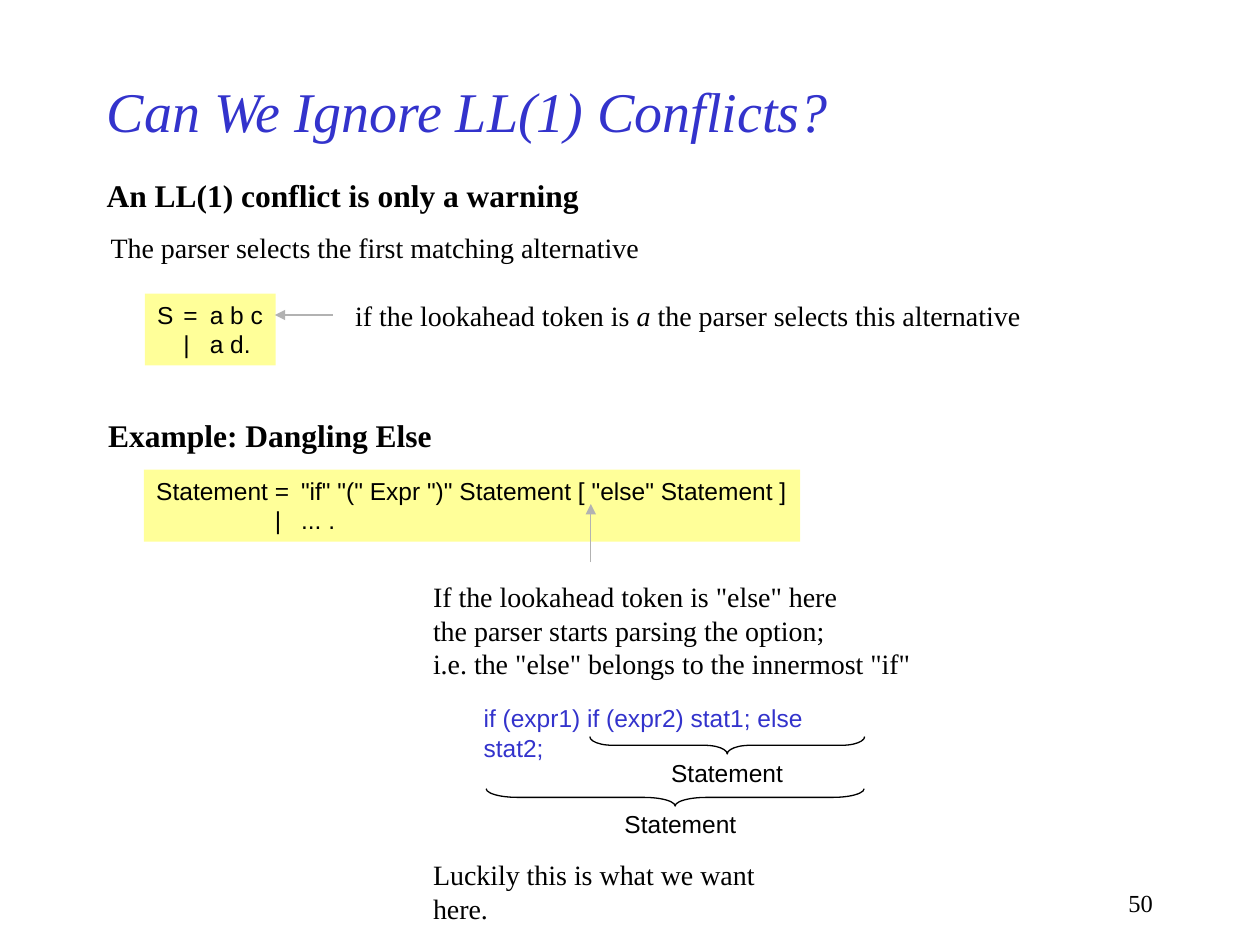
from dataclasses import dataclass

from lxml import etree
from pptx import Presentation
from pptx import util as u
from pptx.dml.color import RGBColor
from pptx.enum import shapes, text
from pptx.oxml import ns

COLORS = {"black": "000000", "blue": "3333CC", "yellow": "FFFF99", "gray": "B2B2B2"}
SERIF = "Times New Roman"
SANS = "Arial"


@dataclass
class Style:
    font: str
    size: int
    color: str = "black"
    bold: bool = False
    italic: bool = False


HEADING = Style(SERIF, 18, bold=True)
BODY = Style(SERIF, 16)
CODE = Style(SANS, 14)
BLUE_CODE = Style(SANS, 14, "blue")
TITLE = Style(SERIF, 32, "blue", italic=True)
NUMBER = Style(SERIF, 14)


@dataclass
class Label:
    left: float
    top: float
    width: float
    height: float
    lines: list[str]
    style: Style
    fill: str | None = None
    tabs: tuple[float, ...] = ()
    wrap: bool = False
    align: text.PP_ALIGN = text.PP_ALIGN.LEFT


@dataclass
class Arrow:
    start: tuple[float, float]
    end: tuple[float, float]


@dataclass
class Brace:
    left: float
    top: float
    length: float
    depth: float = 0.35


LABELS = [
    Label(1.9, 3.43, 10.03, 1.02, ["An LL(1) conflict is only a warning"], HEADING),
    Label(1.98, 4.52, 11.18, 0.94,
          ["The parser selects the first matching alternative"], BODY),
    Label(2.92, 5.92, 2.64, 1.45, ["S\t=\ta b c", "\t|\ta d."], CODE,
          fill="yellow", tabs=(0.53, 1.06)),
    Label(6.91, 5.89, 13.92, 0.94,
          ["if the lookahead token is *a* the parser selects this alternative"], BODY),
    Label(1.93, 8.26, 7.04, 1.02, ["Example: Dangling Else"], HEADING),
    Label(2.9, 9.47, 13.23, 1.45,
          ['Statement\t=\t"if" "(" Expr ")" Statement [ "else" Statement ]',
           "\t|\t... ."], CODE, fill="yellow", tabs=(2.39, 2.92)),
    Label(8.48, 11.56, 10.13, 2.29,
          ['If the lookahead token is "else" here',
           "the parser starts parsing the option;",
           'i.e. the "else" belongs to the innermost "if"'], BODY),
    Label(9.5, 14.05, 8.28, 0.86,
          ["if (expr1) if (expr2) stat1; else stat2;"], BLUE_CODE),
    Label(13.28, 15.16, 2.77, 0.86, ["Statement"], CODE),
    Label(12.34, 16.18, 2.77, 0.86, ["Statement"], CODE),
    Label(8.48, 17.17, 8.23, 0.94, ["Luckily this is what we want here."], BODY),
    Label(18.21, 17.78, 5.28, 0.84, ["50"], NUMBER, wrap=True,
          align=text.PP_ALIGN.RIGHT),
]
ARROWS = [Arrow((6.71, 6.35), (5.54, 6.35)), Arrow((11.91, 11.33), (11.91, 10.16))]
BRACES = [Brace(11.89, 14.85, 5.54), Brace(9.8, 15.9, 7.62)]


def rgb(name: str) -> RGBColor:
    return RGBColor.from_string(COLORS[name])


def write_line(paragraph, line: str, style: Style) -> None:
    for index, part in enumerate(line.split("*")):
        run = paragraph.add_run()
        run.text = part
        run.font.name = style.font
        run.font.size = u.Pt(style.size)
        run.font.bold = style.bold
        run.font.italic = style.italic or index % 2 == 1
        run.font.color.rgb = rgb(style.color)


def add_tabs(paragraph, positions: tuple[float, ...]) -> None:
    properties = paragraph._p.get_or_add_pPr()
    tab_list = etree.SubElement(properties, ns.qn("a:tabLst"))
    for position in positions:
        etree.SubElement(tab_list, ns.qn("a:tab"), pos=str(u.Cm(position)), algn="l")


def add_label(slide, label: Label) -> None:
    shape = slide.shapes.add_textbox(
        u.Cm(label.left), u.Cm(label.top), u.Cm(label.width), u.Cm(label.height))
    if label.fill:
        shape.fill.solid()
        shape.fill.fore_color.rgb = rgb(label.fill)
    frame = shape.text_frame
    frame.word_wrap = label.wrap
    if not label.wrap:
        frame.auto_size = text.MSO_AUTO_SIZE.SHAPE_TO_FIT_TEXT
    for index, line in enumerate(label.lines):
        paragraph = frame.add_paragraph() if index else frame.paragraphs[0]
        paragraph.alignment = label.align
        if label.tabs:
            add_tabs(paragraph, label.tabs)
        write_line(paragraph, line, label.style)


def add_arrow(slide, arrow: Arrow) -> None:
    connector = slide.shapes.add_connector(
        shapes.MSO_CONNECTOR.STRAIGHT,
        *(u.Cm(value) for value in arrow.start + arrow.end))
    connector.line.color.rgb = rgb("gray")
    connector.line.width = u.Pt(0.75)
    etree.SubElement(connector.line._get_or_add_ln(), ns.qn("a:tailEnd"), type="triangle")
    etree.SubElement(connector._element.spPr, ns.qn("a:effectLst"))


def add_brace(slide, brace: Brace) -> None:
    shift = (brace.length - brace.depth) / 2
    shape = slide.shapes.add_shape(
        shapes.MSO_SHAPE.RIGHT_BRACE, u.Cm(brace.left + shift), u.Cm(brace.top - shift),
        u.Cm(brace.depth), u.Cm(brace.length))
    shape.rotation = 90
    shape.adjustments[0] = brace.length / 12 / brace.depth
    shape.shadow.inherit = False
    shape.fill.background()
    shape.line.color.rgb = rgb("black")
    shape.line.width = u.Pt(0.75)


def add_title(slide, wording: str) -> None:
    title = slide.shapes.title
    title.left, title.top = u.Cm(1.9), u.Cm(1.27)
    title.width, title.height = u.Cm(19.05), u.Cm(1.9)
    title.text_frame.vertical_anchor = text.MSO_ANCHOR.MIDDLE
    paragraph = title.text_frame.paragraphs[0]
    paragraph.alignment = text.PP_ALIGN.LEFT
    write_line(paragraph, wording, TITLE)


def main() -> None:
    presentation = Presentation()
    presentation.slide_width = u.Cm(25.4)
    presentation.slide_height = u.Cm(19.05)
    slide = presentation.slides.add_slide(presentation.slide_layouts[5])
    add_title(slide, "Can We Ignore LL(1) Conflicts?")
    for label in LABELS:
        add_label(slide, label)
    for arrow in ARROWS:
        add_arrow(slide, arrow)
    for brace in BRACES:
        add_brace(slide, brace)
    presentation.save("out.pptx")


if __name__ == "__main__":
    main()
